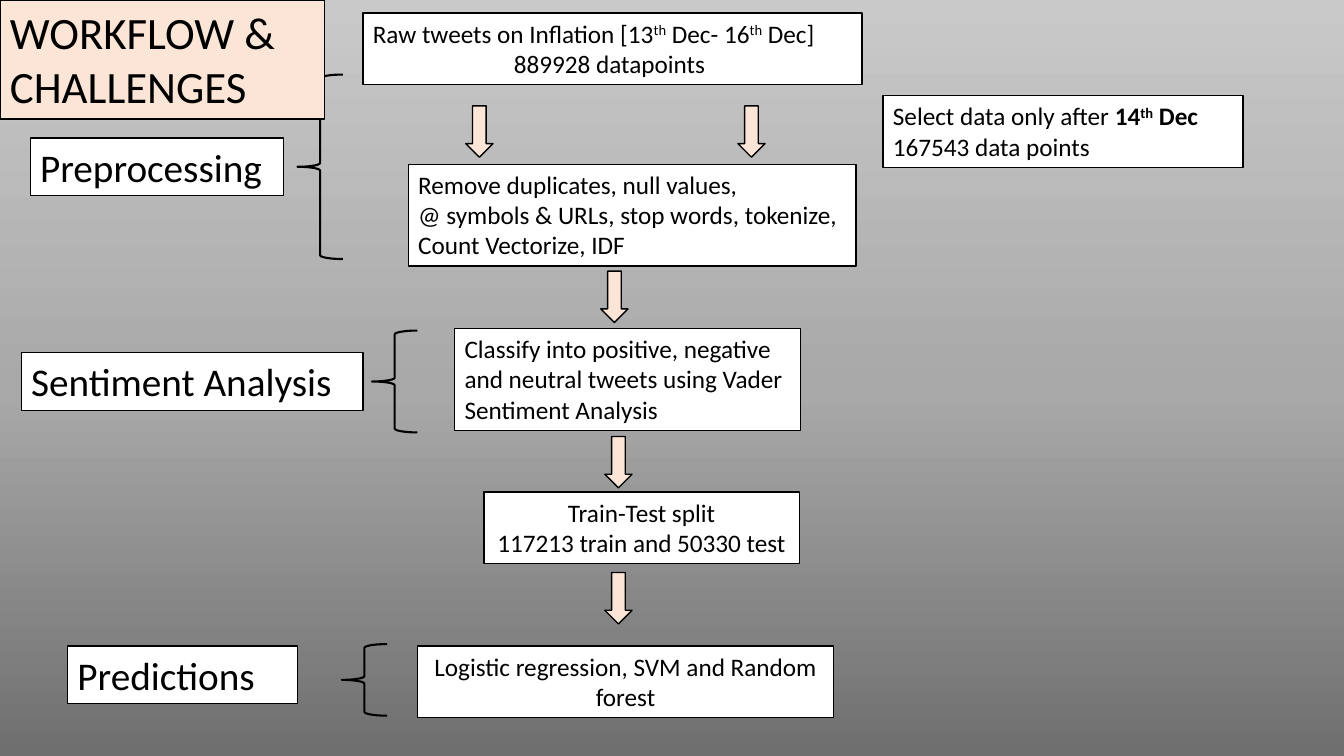
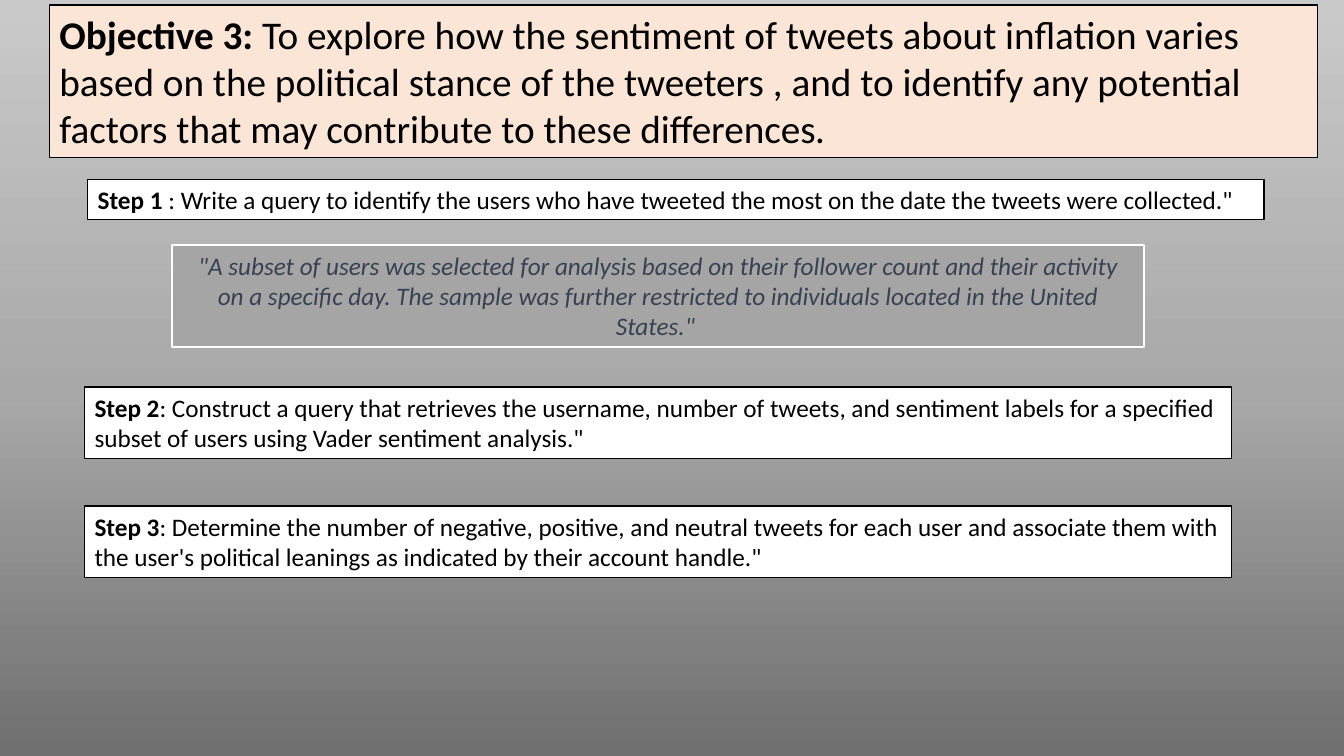
import copy
from dataclasses import dataclass, field
from typing import Any

import pptx
import pptx.dml.color
import pptx.enum.shapes
import pptx.enum.text
import pptx.oxml.ns
import pptx.presentation
import pptx.slide
import pptx.util

BLACK = pptx.dml.color.RGBColor(0x00, 0x00, 0x00)
WHITE = pptx.dml.color.RGBColor(0xFF, 0xFF, 0xFF)
PEACH = pptx.dml.color.RGBColor(0xFB, 0xE5, 0xD6)
QUOTE_GREY = pptx.dml.color.RGBColor(0xA5, 0xA5, 0xA5)
QUOTE_TEXT = pptx.dml.color.RGBColor(0x37, 0x41, 0x51)
BACKGROUND_STOPS = (
    (0, pptx.dml.color.RGBColor(0x6F, 0x6F, 0x6F)),
    (0.48, pptx.dml.color.RGBColor(0xA8, 0xA8, 0xA8)),
    (1, pptx.dml.color.RGBColor(0xC9, 0xC9, 0xC9)),
)

FONT_NAME = "Calibri"
BODY_SIZE, LABEL_SIZE, TITLE_SIZE = 18, 28, 32
SLIDE_WIDTH = pptx.util.Inches(13.33)
SLIDE_HEIGHT = pptx.util.Inches(7.5)
COLUMN = SLIDE_WIDTH / 100
ROW = SLIDE_HEIGHT / 100

ONE_LINE, TWO_LINES, THREE_LINES = 5.33, 9.47, 13.47
LABEL_HEIGHT = 7.6
ARROW_WIDTH, ARROW_HEIGHT = 2.03, 6.8
BRACE_WIDTH = 3.38

BOLD = {"bold": True}
ITALIC = {"italic": True}
LEFT = pptx.enum.text.PP_ALIGN.LEFT
CENTER = pptx.enum.text.PP_ALIGN.CENTER
DOWN_ARROW = pptx.enum.shapes.MSO_SHAPE.DOWN_ARROW
LEFT_BRACE = pptx.enum.shapes.MSO_SHAPE.LEFT_BRACE


@dataclass(frozen=True)
class Area:
    column: float
    row: float
    columns: float
    rows: float

    def lengths(self) -> tuple[int, int, int, int]:
        return (
            round(self.column * COLUMN),
            round(self.row * ROW),
            round(self.columns * COLUMN),
            round(self.rows * ROW),
        )


@dataclass(frozen=True)
class Run:
    text: str
    formats: dict[str, Any] = field(default_factory=dict)
    superscript: bool = False


@dataclass(frozen=True)
class Line:
    runs: tuple[Run, ...]
    alignment: Any = LEFT


@dataclass(frozen=True)
class Box:
    area: Area
    lines: tuple[Line, ...]
    size: int = BODY_SIZE
    fill: pptx.dml.color.RGBColor = WHITE
    border: pptx.dml.color.RGBColor = BLACK
    border_width: float = 1
    text_color: pptx.dml.color.RGBColor = BLACK
    fits_text: bool = True


@dataclass(frozen=True)
class Symbol:
    kind: Any
    area: Area
    fill: pptx.dml.color.RGBColor | None = None
    border_width: float = 1


def plain(text: str, alignment: Any = LEFT) -> Line:
    return Line((Run(text),), alignment)


def label(area: Area, text: str) -> Box:
    return Box(area, (plain(text),), LABEL_SIZE)


def step(area: Area, heading: str, text: str) -> Box:
    return Box(area, (Line((Run(heading, BOLD), Run(text))),))


def arrow(column: float, row: float) -> Symbol:
    return Symbol(DOWN_ARROW, Area(column, row, ARROW_WIDTH, ARROW_HEIGHT), PEACH)


def brace(column: float, row: float, rows: float) -> Symbol:
    return Symbol(LEFT_BRACE, Area(column, row, BRACE_WIDTH, rows), border_width=1.5)


ORDINAL = Run("th", superscript=True)
BOLD_ORDINAL = Run("th", BOLD, superscript=True)

WORKFLOW = (
    Box(Area(27, 1.73, 37.13, TWO_LINES), (
        Line((Run("Raw tweets on Inflation [13"), ORDINAL, Run(" Dec- 16"), ORDINAL, Run(" Dec]"))),
        plain("889928 datapoints ", CENTER),
    )),
    arrow(34.65, 14),
    arrow(54.9, 14),
    Box(Area(65.7, 12.67, 26.78, TWO_LINES), (
        Line((Run("Select data only after "), Run("14", BOLD), BOLD_ORDINAL, Run(" Dec", BOLD))),
        plain("167543 data points"),
    )),
    Box(Area(30.38, 21.73, 33.3, THREE_LINES), (
        plain("Remove duplicates, null values,"),
        plain("@ symbols & URLs, stop words, tokenize, Count Vectorize, IDF"),
    )),
    brace(22.13, 9.87, 24.4),
    label(Area(2.25, 18.27, 18.83, LABEL_HEIGHT), "Preprocessing"),
    arrow(44.7, 35.87),
    Box(Area(33.83, 43.47, 25.73, THREE_LINES), (
        plain("Classify into positive, negative and neutral tweets using Vader Sentiment Analysis"),
    )),
    brace(27.68, 43.73, THREE_LINES),
    label(Area(1.58, 46.67, 25.43, LABEL_HEIGHT), "Sentiment Analysis"),
    arrow(45, 57.73),
    Box(Area(36, 65.07, 23.48, TWO_LINES), (
        plain("Train-Test split", CENTER),
        plain("117213 train and 50330 test", CENTER),
    )),
    arrow(45, 75.73),
    Box(Area(31.05, 85.47, 30.98, TWO_LINES), (
        plain("Logistic regression, SVM and Random forest", CENTER),
    )),
    brace(25.43, 85.2, TWO_LINES),
    label(Area(5.03, 85.47, 17.1, LABEL_HEIGHT), "Predictions"),
    Box(Area(0, 0, 24.15, 15.73), (plain("WORKFLOW & CHALLENGES"),), TITLE_SIZE, PEACH),
)

OBJECTIVE = (
    step(
        Area(6.53, 23.73, 87.53, ONE_LINE),
        "Step 1 ",
        ": Write a query to identify the users who have tweeted the most on the date "
        "the tweets were collected.\"",
    ),
    Box(
        Area(12.83, 32.4, 72.3, THREE_LINES),
        (Line((Run(
            "\"A subset of users was selected for analysis based on their follower count and "
            "their activity on a specific day. The sample was further restricted to individuals "
            "located in the United States.\" ",
            ITALIC,
        ),), CENTER),),
        fill=QUOTE_GREY,
        border=WHITE,
        border_width=1.5,
        text_color=QUOTE_TEXT,
        fits_text=False,
    ),
    step(
        Area(6.3, 51.2, 85.35, TWO_LINES),
        "Step 2",
        ": Construct a query that retrieves the username, number of tweets, and sentiment "
        "labels for a specified subset of users using Vader sentiment analysis.\"",
    ),
    step(
        Area(6.3, 66.93, 85.35, TWO_LINES),
        "Step 3",
        ": Determine the number of negative, positive, and neutral tweets for each user and "
        "associate them with the user's political leanings as indicated by their account handle.\"",
    ),
    Box(
        Area(3.68, 0.67, 94.35, 20.13),
        (Line((
            Run("Objective 3: ", BOLD),
            Run(
                "To explore how the sentiment of tweets about inflation varies based on the "
                "political stance of the tweeters , and to identify any potential factors that "
                "may contribute to these differences"
            ),
            Run(".", ITALIC),
        )),),
        LABEL_SIZE,
        PEACH,
    ),
)


def set_border(shape: Any, color: pptx.dml.color.RGBColor, width: float) -> None:
    shape.line.color.rgb = color
    shape.line.width = pptx.util.Pt(width)


def set_fill(shape: Any, color: pptx.dml.color.RGBColor | None) -> None:
    if color is None:
        shape.fill.background()
    else:
        shape.fill.solid()
        shape.fill.fore_color.rgb = color


def draw_box(slide: pptx.slide.Slide, box: Box) -> None:
    shape = slide.shapes.add_textbox(*box.area.lengths())
    set_fill(shape, box.fill)
    set_border(shape, box.border, box.border_width)
    frame = shape.text_frame
    frame.word_wrap = True
    sizing = pptx.enum.text.MSO_AUTO_SIZE
    frame.auto_size = sizing.SHAPE_TO_FIT_TEXT if box.fits_text else sizing.NONE
    base = {"name": FONT_NAME, "size": pptx.util.Pt(box.size)}
    for index, line in enumerate(box.lines):
        paragraph = frame.add_paragraph() if index else frame.paragraphs[0]
        paragraph.alignment = line.alignment
        for item in line.runs:
            run = paragraph.add_run()
            run.text = item.text
            for name, value in (base | item.formats).items():
                setattr(run.font, name, value)
            run.font.color.rgb = box.text_color
            if item.superscript:
                run._r.get_or_add_rPr().set("baseline", "30000")


def draw_symbol(slide: pptx.slide.Slide, symbol: Symbol) -> None:
    shape = slide.shapes.add_shape(symbol.kind, *symbol.area.lengths())
    shape.shadow.inherit = False
    set_fill(shape, symbol.fill)
    set_border(shape, BLACK, symbol.border_width)


def paint_background(slide: pptx.slide.Slide) -> None:
    fill = slide.background.fill
    fill.gradient()
    fill.gradient_angle = 90
    stop_list = next(slide._element.iter(pptx.oxml.ns.qn("a:gsLst")))
    stop_list.append(copy.deepcopy(stop_list[0]))
    for stop, (position, color) in zip(fill.gradient_stops, BACKGROUND_STOPS):
        stop.position = position
        stop.color.rgb = color


def build_slide(
    presentation: pptx.presentation.Presentation, items: tuple[Box | Symbol, ...]
) -> None:
    slide = presentation.slides.add_slide(presentation.slide_layouts[6])
    paint_background(slide)
    for item in items:
        if isinstance(item, Box):
            draw_box(slide, item)
        else:
            draw_symbol(slide, item)


def main() -> None:
    presentation = pptx.Presentation()
    presentation.slide_width = SLIDE_WIDTH
    presentation.slide_height = SLIDE_HEIGHT
    for items in (WORKFLOW, OBJECTIVE):
        build_slide(presentation, items)
    presentation.save("out.pptx")


if __name__ == "__main__":
    main()
